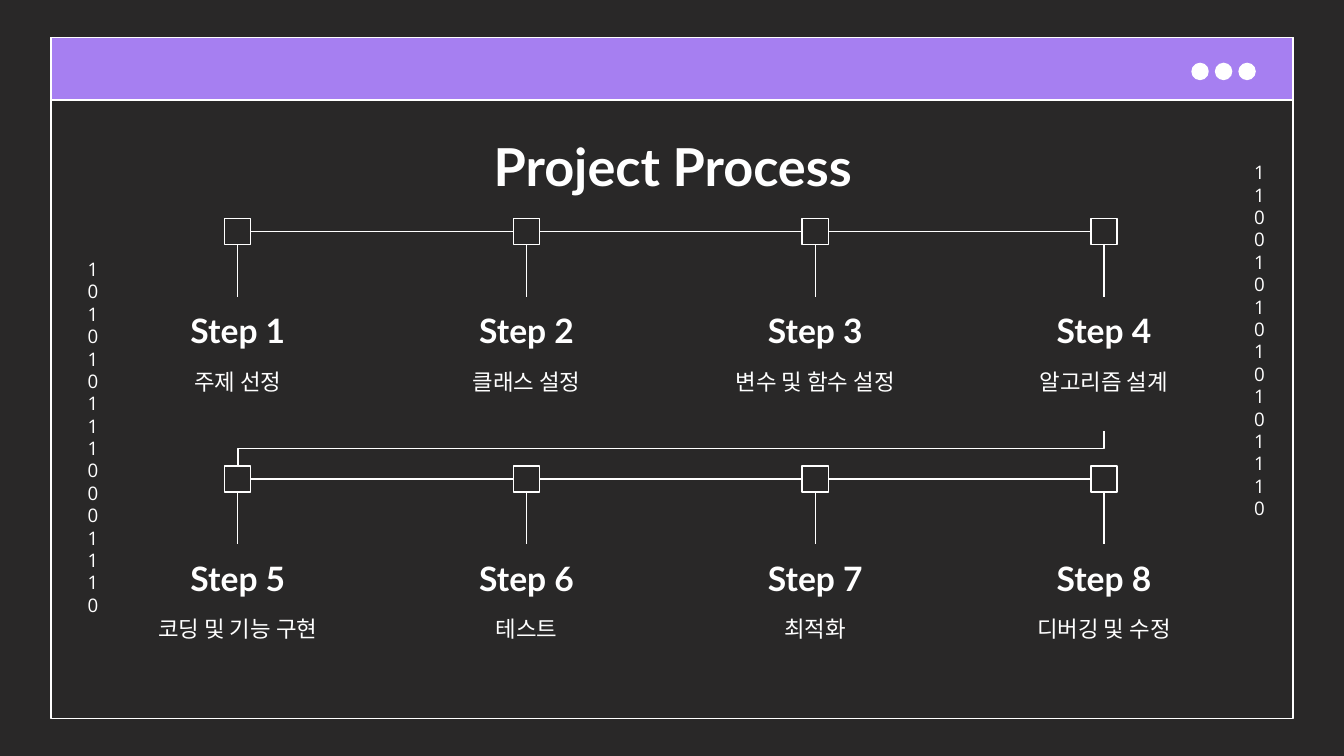
import dataclasses

import lxml.etree
import pptx
import pptx.dml.color
import pptx.enum.shapes
import pptx.enum.text
import pptx.oxml.ns
import pptx.util

Pt = pptx.util.Pt
Shapes = pptx.enum.shapes.MSO_SHAPE
Connectors = pptx.enum.shapes.MSO_CONNECTOR
Anchor = pptx.enum.text.MSO_ANCHOR

COLORS = {"background": "292828", "white": "FFFFFF", "header": "A67FF1"}
LINE_WIDTH = 0.75

FIRST_CENTER, COLUMN_PITCH, COLUMNS = 127.4, 154.67, 4
FIRST_TOP, ROW_PITCH = 117.1, 132.5
NODE_SIZE, STEM_LENGTH = 14, 28
LABEL_WIDTH = 142.6


@dataclasses.dataclass(frozen=True)
class Box:
    left: float
    top: float
    width: float
    height: float

    def lengths(self) -> list:
        return [Pt(value) for value in (self.left, self.top, self.width, self.height)]


@dataclasses.dataclass(frozen=True)
class TextStyle:
    font: str
    size: float
    bold: bool = False
    anchor: Anchor = Anchor.TOP
    line_spacing: float | None = None


@dataclasses.dataclass(frozen=True)
class Step:
    title: str
    detail: str


TITLE = TextStyle("Lato", 28, bold=True)
STEP_TITLE = TextStyle("Lato", 18, bold=True, anchor=Anchor.BOTTOM)
STEP_DETAIL = TextStyle("Open Sans", 12)
DIGITS = TextStyle("Open Sans", 10, line_spacing=12)

STEPS = [
    Step("Step 1", "주제 선정"),
    Step("Step 2", "클래스 설정"),
    Step("Step 3", "변수 및 함수 설정"),
    Step("Step 4", "알고리즘 설계"),
    Step("Step 5", "코딩 및 기능 구현"),
    Step("Step 6", "테스트"),
    Step("Step 7", "최적화"),
    Step("Step 8", "디버깅 및 수정"),
]


def color(name: str) -> pptx.dml.color.RGBColor:
    return pptx.dml.color.RGBColor.from_string(COLORS[name])


def add_shape(slide, kind: Shapes, box: Box, fill: str | None = None) -> None:
    shape = slide.shapes.add_shape(kind, *box.lengths())
    shape.shadow.inherit = False
    if fill:
        shape.fill.solid()
        shape.fill.fore_color.rgb = color(fill)
    else:
        shape.fill.background()
    shape.line.color.rgb = color("white")
    shape.line.width = Pt(LINE_WIDTH)


def add_text(slide, text: str, box: Box, style: TextStyle) -> None:
    shape = slide.shapes.add_textbox(*box.lengths())
    frame = shape.text_frame
    frame.word_wrap = True
    frame.vertical_anchor = style.anchor
    frame.margin_left = frame.margin_right = Pt(7.2)
    frame.margin_top = frame.margin_bottom = Pt(7.2)
    frame.text = text
    for paragraph in frame.paragraphs:
        paragraph.alignment = pptx.enum.text.PP_ALIGN.CENTER
        if style.line_spacing:
            paragraph.line_spacing = Pt(style.line_spacing)
        for run in paragraph.runs:
            run.font.name = style.font
            run.font.size = Pt(style.size)
            run.font.bold = style.bold
            run.font.color.rgb = color("white")


def add_line(slide, x1: float, y1: float, x2: float, y2: float,
             kind: Connectors = Connectors.STRAIGHT):
    connector = slide.shapes.add_connector(kind, Pt(x1), Pt(y1), Pt(x2), Pt(y2))
    connector.line.color.rgb = color("white")
    connector.line.width = Pt(LINE_WIDTH)
    lxml.etree.SubElement(connector._element.spPr, pptx.oxml.ns.qn("a:effectLst"))
    return connector


def add_row_link(slide, x1: float, y1: float, x2: float, y2: float) -> None:
    """Draw an elbow that leaves and arrives vertically: a quarter-turned connector."""
    center_x, center_y = (x1 + x2) / 2, (y1 + y2) / 2
    half_drop, half_span = (y2 - y1) / 2, (x1 - x2) / 2
    connector = add_line(slide, center_x - half_drop, center_y - half_span,
                         center_x + half_drop, center_y + half_span, Connectors.ELBOW)
    transform = connector._element.spPr.find(pptx.oxml.ns.qn("a:xfrm"))
    transform.set("rot", str(90 * 60000))


def add_window(slide) -> None:
    add_shape(slide, Shapes.RECTANGLE, Box(27.3, 20.2, 665.4, 364.7))
    add_shape(slide, Shapes.RECTANGLE, Box(27.3, 20.2, 665.4, 33.4), "header")
    for index in range(3):
        add_shape(slide, Shapes.OVAL, Box(638.6 + 12.6 * index, 34, 8.6, 8.6), "white")


def add_step(slide, index: int, step: Step) -> None:
    row, column = divmod(index, COLUMNS)
    center = FIRST_CENTER + column * COLUMN_PITCH
    top = FIRST_TOP + row * ROW_PITCH
    bottom = top + NODE_SIZE
    label_left = center - LABEL_WIDTH / 2

    add_shape(slide, Shapes.RECTANGLE,
              Box(center - NODE_SIZE / 2, top, NODE_SIZE, NODE_SIZE), "background")
    add_line(slide, center, bottom, center, bottom + STEM_LENGTH)
    if column < COLUMNS - 1:
        middle = top + NODE_SIZE / 2
        add_line(slide, center + NODE_SIZE / 2, middle,
                 center + COLUMN_PITCH - NODE_SIZE / 2, middle)
    add_text(slide, step.title, Box(label_left, top + 42, LABEL_WIDTH, 36), STEP_TITLE)
    add_text(slide, step.detail, Box(label_left, top + 73, LABEL_WIDTH, 41), STEP_DETAIL)


def main() -> None:
    presentation = pptx.Presentation()
    presentation.slide_width, presentation.slide_height = Pt(720), Pt(405)
    slide = presentation.slides.add_slide(presentation.slide_layouts[6])
    slide.background.fill.solid()
    slide.background.fill.fore_color.rgb = color("background")

    add_window(slide)
    add_text(slide, "1100101010101110", Box(664.8, 79.2, 17.3, 201.6), DIGITS)
    add_text(slide, "101010111000111\n0", Box(39.9, 131, 17.3, 201.6), DIGITS)
    add_text(slide, "Project Process", Box(56.9, 64.8, 607, 45.4), TITLE)
    for index, step in enumerate(STEPS):
        add_step(slide, index, step)
    add_row_link(slide, FIRST_CENTER + (COLUMNS - 1) * COLUMN_PITCH, 230.8,
                 FIRST_CENTER, FIRST_TOP + ROW_PITCH)

    presentation.save("out.pptx")


if __name__ == "__main__":
    main()
